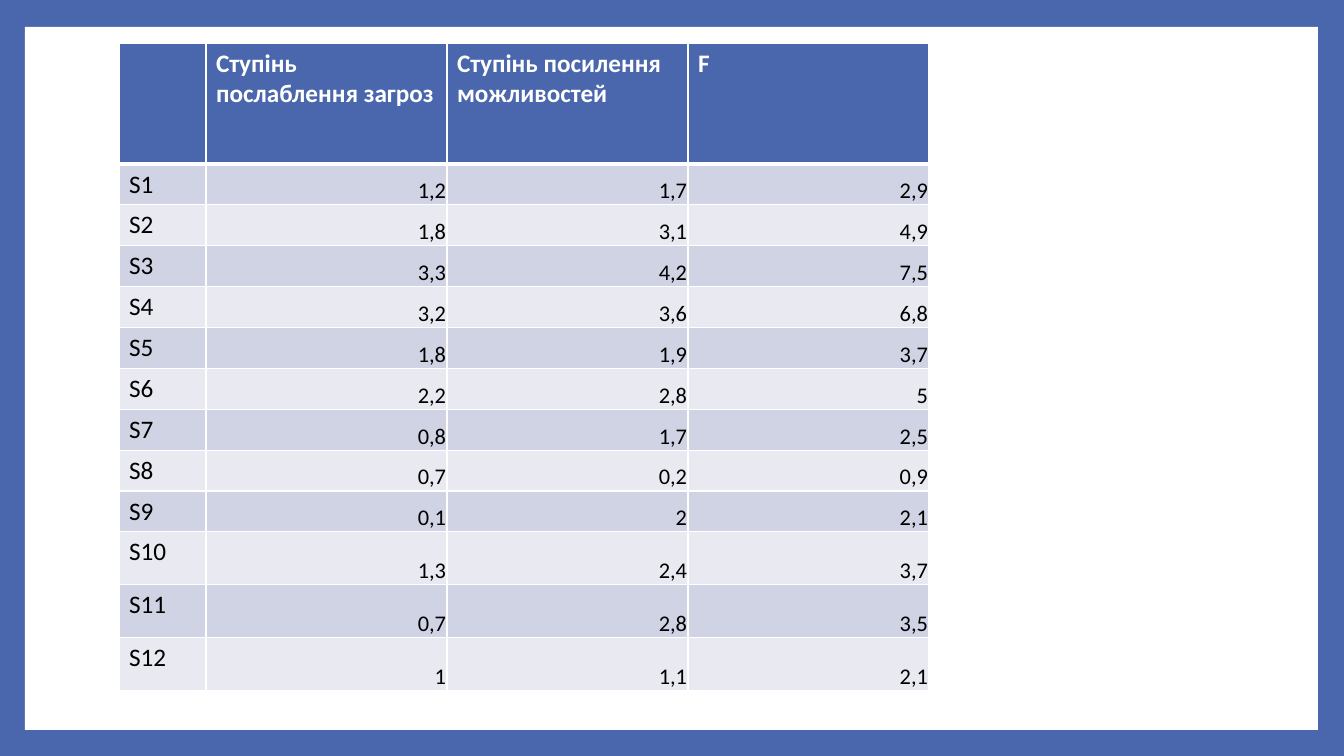
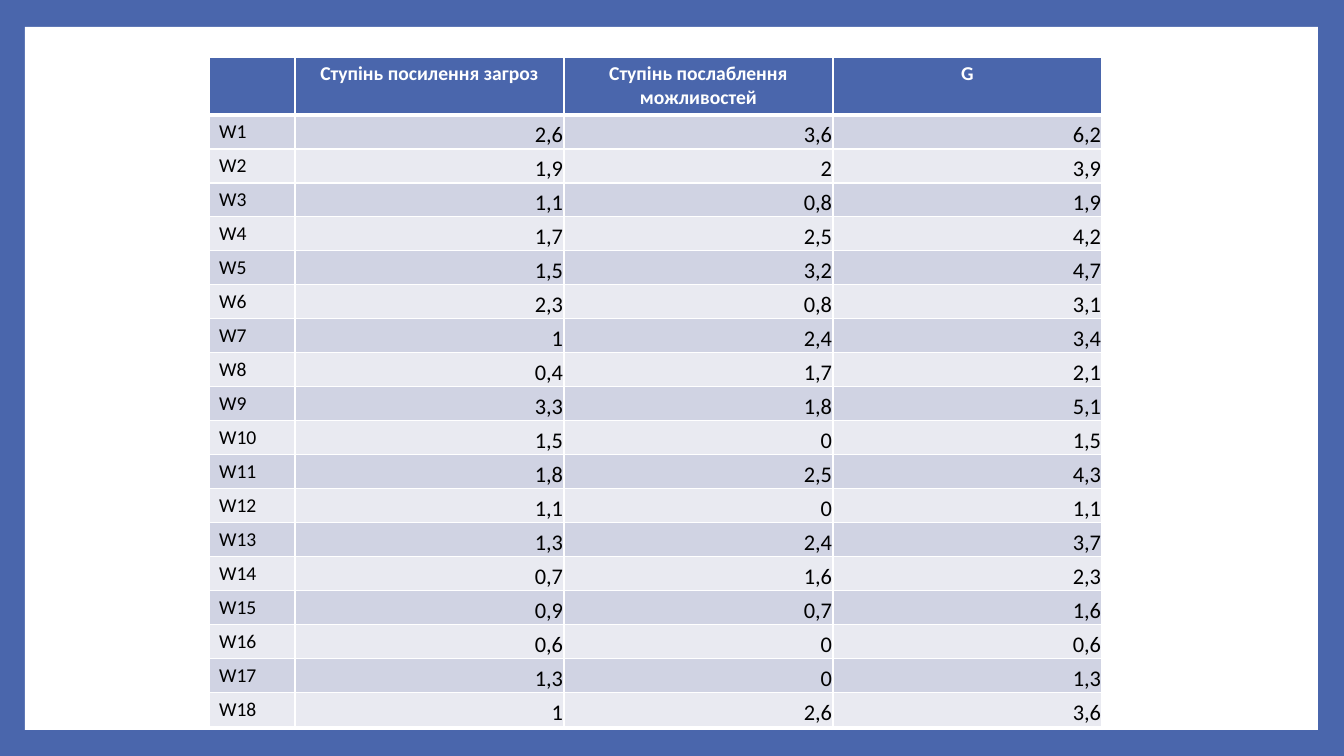
from lxml.etree import SubElement
from pptx import Presentation
from pptx.dml.color import RGBColor
from pptx.enum.shapes import MSO_SHAPE
from pptx.enum.text import MSO_ANCHOR, PP_ALIGN
from pptx.oxml.ns import qn
from pptx.util import Pt

COLORS = {
    "accent": "4A66AC",
    "white": "FFFFFF",
    "black": "000000",
    "band_dark": "D0D3E3",
    "band_light": "E9EAF1",
}
FONT = "Calibri"
VALUE_SIZE = 16
THIN, THICK = 1, 3

STRENGTHS_HEADER = ["", "Ступінь послаблення загроз", "Ступінь посилення можливостей", "F"]
STRENGTHS = [
    ("1,2", "1,7", "2,9"), ("1,8", "3,1", "4,9"), ("3,3", "4,2", "7,5"),
    ("3,2", "3,6", "6,8"), ("1,8", "1,9", "3,7"), ("2,2", "2,8", "5"),
    ("0,8", "1,7", "2,5"), ("0,7", "0,2", "0,9"), ("0,1", "2", "2,1"),
    ("1,3", "2,4", "3,7"), ("0,7", "2,8", "3,5"), ("1", "1,1", "2,1"),
]
WEAKNESSES_HEADER = ["", "Ступінь посилення загроз", "Ступінь послаблення можливостей", "G"]
WEAKNESSES = [
    ("2,6", "3,6", "6,2"), ("1,9", "2", "3,9"), ("1,1", "0,8", "1,9"),
    ("1,7", "2,5", "4,2"), ("1,5", "3,2", "4,7"), ("2,3", "0,8", "3,1"),
    ("1", "2,4", "3,4"), ("0,4", "1,7", "2,1"), ("3,3", "1,8", "5,1"),
    ("1,5", "0", "1,5"), ("1,8", "2,5", "4,3"), ("1,1", "0", "1,1"),
    ("1,3", "2,4", "3,7"), ("0,7", "1,6", "2,3"), ("0,9", "0,7", "1,6"),
    ("0,6", "0", "0,6"), ("1,3", "0", "1,3"), ("1", "2,6", "3,6"),
]


def px(length):
    return round(length * 914400 / 100.8)


def paint(fill, color):
    fill.solid()
    fill.fore_color.rgb = RGBColor.from_string(COLORS[color])


def add_page(deck):
    """A blank page with the white panel inside the coloured frame."""
    page = deck.slides.add_slide(deck.slide_layouts[6])
    panel = page.shapes.add_shape(MSO_SHAPE.RECTANGLE, px(25), px(27), px(1293), px(703))
    panel.shadow.inherit = False
    paint(panel.fill, "white")
    panel.line.fill.background()
    return page


def set_borders(cell, top, bottom):
    properties = cell._tc.get_or_add_tcPr()
    widths = {"a:lnL": THIN, "a:lnR": THIN, "a:lnT": top, "a:lnB": bottom}
    for position, (side, width) in enumerate(widths.items()):
        line = SubElement(properties, qn(side), w=str(Pt(width)))
        solid = SubElement(line, qn("a:solidFill"))
        SubElement(solid, qn("a:srgbClr"), val=COLORS["white"])
        properties.insert(position, line)


def set_text(cell, text, size, color, align, bold=False):
    cell.text_frame.text = text
    para = cell.text_frame.paragraphs[0]
    para.alignment = align
    for font in [para.font] + [span.font for span in para.runs]:
        font.name = FONT
        font.size = Pt(size)
        font.bold = bold
        font.color.rgb = RGBColor.from_string(COLORS[color])


def fill_header(cell, text, size, align):
    set_text(cell, text, size, "white", align, bold=True)
    set_borders(cell, THIN, THICK)
    paint(cell.fill, "accent")


def fill_body(cell, text, size, row, is_label):
    if is_label:
        set_text(cell, text, size, "black", PP_ALIGN.LEFT)
    else:
        set_text(cell, text, VALUE_SIZE, "black", PP_ALIGN.RIGHT)
        cell.vertical_anchor = MSO_ANCHOR.BOTTOM
        cell.margin_left = cell.margin_right = cell.margin_top = px(1)
        cell.margin_bottom = 0
    set_borders(cell, THICK if row == 1 else THIN, THIN)
    paint(cell.fill, "band_dark" if row % 2 else "band_light")


def add_score_table(page, left, top, widths, heights, header, scores, prefix, size, header_align):
    """A header row, then numbered rows of scores."""
    frame = page.shapes.add_table(len(heights), len(widths), px(left), px(top),
                                  px(sum(widths)), px(sum(heights)))
    table = frame.table
    table.first_row = table.horz_banding = False
    for column, width in zip(table.columns, widths):
        column.width = px(width)
    for row, height in zip(table.rows, heights):
        row.height = px(height)

    for column, text in enumerate(header):
        fill_header(table.cell(0, column), text, size, header_align)
    for row, values in enumerate(scores, 1):
        for column, text in enumerate([f"{prefix}{row}", *values]):
            fill_body(table.cell(row, column), text, size, row, column == 0)


def main():
    deck = Presentation()
    deck.slide_width, deck.slide_height = px(1344), px(756)
    paint(deck.slide_master.background.fill, "accent")

    # Strengths
    add_score_table(add_page(deck), 119, 43, [87] + [241] * 3, [121] + [40] * 9 + [53] * 3,
                    STRENGTHS_HEADER, STRENGTHS, "S", 18, PP_ALIGN.LEFT)

    # Weaknesses
    add_score_table(add_page(deck), 209, 57, [86] + [269] * 3, [58] + [34] * 18,
                    WEAKNESSES_HEADER, WEAKNESSES, "W", 14, PP_ALIGN.CENTER)

    deck.save("out.pptx")


if __name__ == "__main__":
    main()
